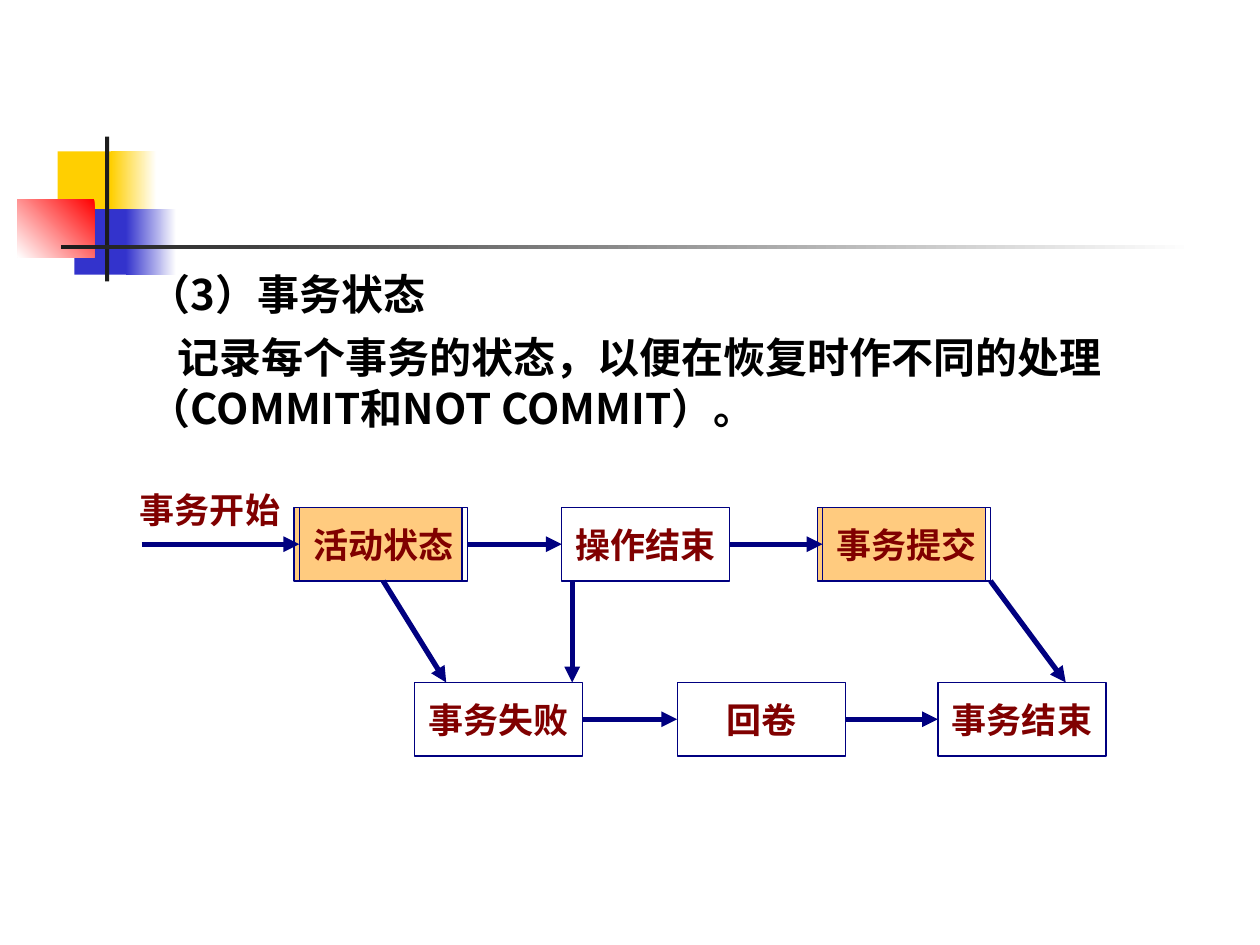
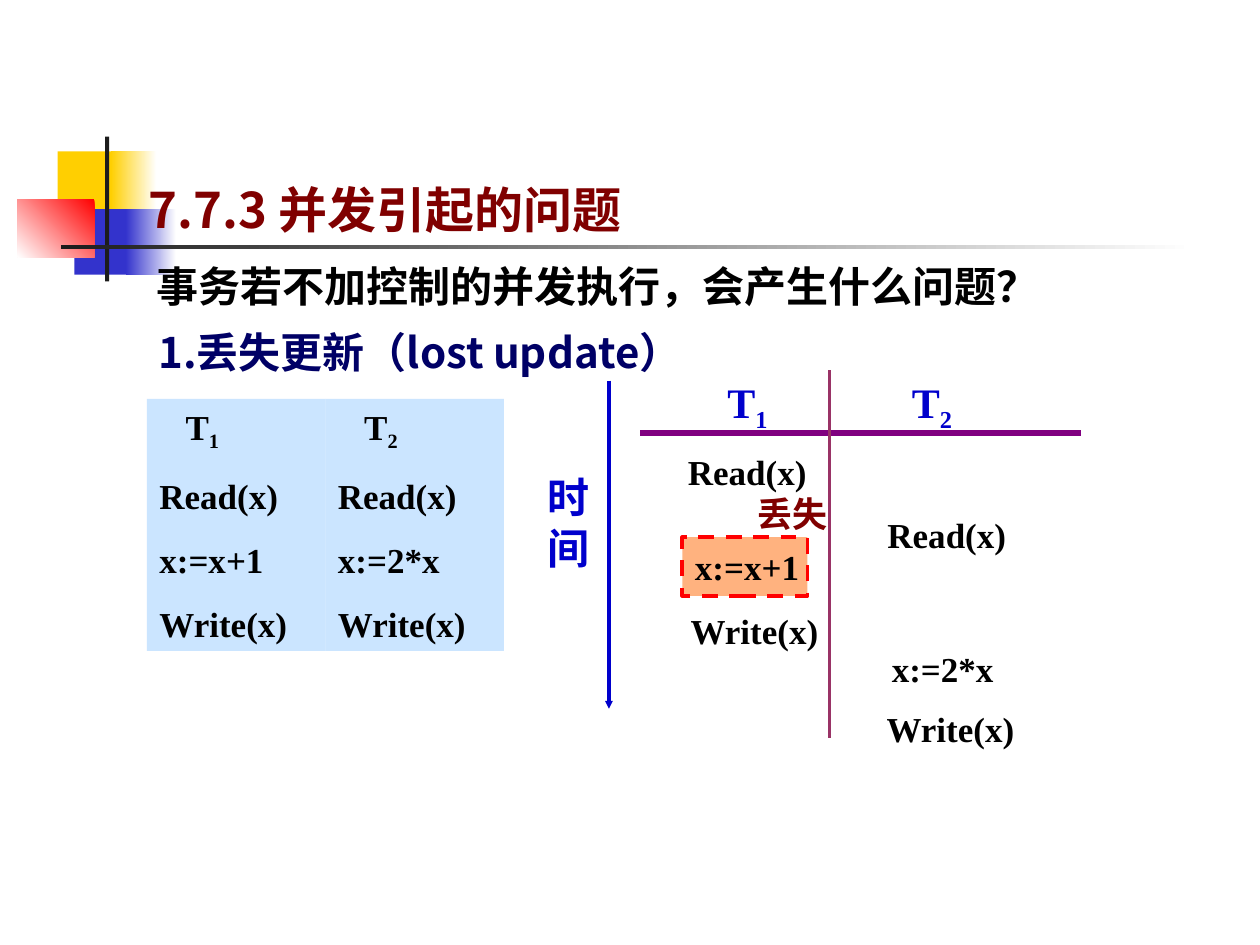
from lxml.etree import SubElement
from pptx import Presentation
from pptx.dml.color import RGBColor
from pptx.enum.dml import MSO_LINE
from pptx.enum.shapes import MSO_CONNECTOR, MSO_SHAPE
from pptx.enum.text import MSO_ANCHOR, PP_ALIGN
from pptx.oxml.ns import qn
from pptx.util import Pt

COLORS = {
    "white": "FFFFFF", "black": "000000", "yellow": "FFCF01", "blue": "3333CC",
    "red": "FF0000", "charcoal": "1C1C1C", "amber": "FF9900", "navy": "000080",
    "maroon": "800000", "heading": "000066", "sky": "99CCFF", "orange": "FF6600",
    "time": "0000CC", "purple": "800080", "plum": "993366",
}
CJK = "Noto Sans CJK SC"
SERIF = "Times New Roman"
STATE_WIDTH, STATE_HEIGHT = 96, 42
TOP_ROW, BOTTOM_ROW = 290, 390
STEP_WIDTH, STEP_HEIGHT = 96, 32


def rgb(name):
    return RGBColor.from_string(COLORS[name])


def add_rectangle(slide, left, top, width, height, fill=None, alpha=None,
                  line=None, line_width=0.75, dash=None):
    shape = slide.shapes.add_shape(
        MSO_SHAPE.RECTANGLE, Pt(left), Pt(top), Pt(width), Pt(height))
    shape.shadow.inherit = False
    if fill:
        shape.fill.solid()
        shape.fill.fore_color.rgb = rgb(fill)
        if alpha:
            color = shape._element.spPr.find(qn("a:solidFill"))[0]
            SubElement(color, qn("a:alpha")).set("val", str(alpha * 1000))
    else:
        shape.fill.background()
    if line:
        shape.line.color.rgb = rgb(line)
        shape.line.width = Pt(line_width)
        if dash:
            shape.line.dash_style = dash
    else:
        shape.line.fill.background()
    return shape


def add_fade(slide, left, top, width, height, start, end="white", angle=0):
    shape = add_rectangle(slide, left, top, width, height, start)
    shape.fill.gradient()
    shape.fill.gradient_angle = angle
    for stop, name in zip(shape.fill.gradient_stops, (start, end)):
        stop.color.rgb = rgb(name)


def write_text(shape, text, size, color, font=SERIF, align=PP_ALIGN.LEFT,
               anchor=MSO_ANCHOR.TOP, wrap=True, indent=0, space_before=0):
    frame = shape.text_frame
    frame.word_wrap = wrap
    frame.vertical_anchor = anchor
    frame.text = text
    for index, paragraph in enumerate(frame.paragraphs):
        base, _, subscript = paragraph.text.partition("_")
        paragraph.text = base
        paragraph.alignment = align
        if index:
            paragraph.space_before = Pt(space_before)
        elif indent:
            paragraph._p.get_or_add_pPr().set("indent", str(Pt(indent)))
        if subscript:
            run = paragraph.add_run()
            run.text = subscript
            run._r.get_or_add_rPr().set("baseline", "-25000")
        for run in paragraph.runs:
            run.font.size = Pt(size)
            run.font.bold = True
            run.font.name = font
            run.font.color.rgb = rgb(color)
            SubElement(run._r.get_or_add_rPr(), qn("a:ea")).set("typeface", CJK)


def add_text(slide, left, top, width, height, text, size=20, color="black", **style):
    box = slide.shapes.add_textbox(Pt(left), Pt(top), Pt(width), Pt(height))
    write_text(box, text, size, color, **style)


def add_line(slide, start, end, color="navy", width=3, head="med"):
    connector = slide.shapes.add_connector(
        MSO_CONNECTOR.STRAIGHT, *(Pt(value) for value in (*start, *end)))
    connector.line.color.rgb = rgb(color)
    connector.line.width = Pt(width)
    properties = connector._element.spPr
    if head:
        tail_end = SubElement(properties.find(qn("a:ln")), qn("a:tailEnd"))
        for name, value in (("type", "triangle"), ("w", head), ("len", head)):
            tail_end.set(name, value)
    SubElement(properties, qn("a:effectLst"))
    return connector


def add_state(slide, left, top, text):
    state = add_rectangle(slide, left, top, STATE_WIDTH, STATE_HEIGHT, line="navy")
    write_text(state, text, 20, "maroon", align=PP_ALIGN.CENTER,
               anchor=MSO_ANCHOR.MIDDLE, wrap=False)
    return state


def join_states(slide, source, target):
    connector = add_line(slide, (0, 0), (0, 0))
    connector.begin_connect(source, 3)
    connector.end_connect(target, 1)


def add_slide(presentation):
    slide = presentation.slides.add_slide(presentation.slide_layouts[6])
    add_rectangle(slide, 33, 86.5, 34.5, 37.5, "yellow")
    add_fade(slide, 63.4, 86.5, 26, 37.5, "yellow")
    add_rectangle(slide, 42.5, 119.5, 33, 37.5, "blue")
    add_fade(slide, 72, 119.5, 28.8, 37.5, "blue")
    add_fade(slide, 10, 113.8, 44, 33.2, "red", angle=225)
    add_rectangle(slide, 60, 78, 2.4, 82.8, "charcoal")
    add_fade(slide, 34.6, 140, 648, 2.5, "charcoal")
    return slide


def build_states_slide(presentation):
    slide = add_slide(presentation)
    for left in (168, 467):
        add_rectangle(slide, left, TOP_ROW, STATE_WIDTH, STATE_HEIGHT, "amber", 50, "navy")
    add_text(slide, 78, 150, 570, 94, "（3）事务状态", 24, font=CJK)
    add_text(slide, 78, 186, 588, 65,
             "记录每个事务的状态，以便在恢复时作不同的处理（COMMIT和NOT COMMIT）。",
             24, font=CJK, indent=16.5)
    add_text(slide, 72, 270, STATE_WIDTH, STATE_HEIGHT, "事务开始", 20, "maroon",
             align=PP_ALIGN.CENTER, anchor=MSO_ANCHOR.MIDDLE, wrap=False)

    active = add_state(slide, 171, TOP_ROW, "活动状态")
    finished = add_state(slide, 321, TOP_ROW, "操作结束")
    committed = add_state(slide, 470, TOP_ROW, "事务提交")
    failed = add_state(slide, 237, BOTTOM_ROW, "事务失败")
    rollback = add_state(slide, 387, BOTTOM_ROW, "回卷")
    ended = add_state(slide, 536, BOTTOM_ROW, "事务结束")
    for source, target in ((active, finished), (finished, committed),
                           (failed, rollback), (rollback, ended)):
        join_states(slide, source, target)

    state_bottom = TOP_ROW + STATE_HEIGHT
    add_line(slide, (81, 311), (171, 311)).end_connect(active, 1)
    add_line(slide, (221, state_bottom), (255, BOTTOM_ROW)).begin_connect(active, 2)
    add_line(slide, (327, state_bottom), (327, BOTTOM_ROW))
    add_line(slide, (566, state_bottom), (609, BOTTOM_ROW))


def build_lost_update_slide(presentation):
    slide = add_slide(presentation)
    add_rectangle(slide, 390, 307, 71.5, 33.5, "orange", 50, "red", 2.25, MSO_LINE.DASH)
    add_text(slide, 426, 278, 64, STEP_HEIGHT, "丢失", color="maroon")
    add_text(slide, 78, 99, 414, 81, "7.7.3 并发引起的问题", 28, "maroon", font=CJK)
    add_text(slide, 66, 145.5, 600, 36, "事务若不加控制的并发执行，会产生什么问题？",
             24, font=CJK, indent=16.5)
    add_text(slide, 67, 183, 437, 36, "1.丢失更新（lost update）", 24, "heading",
             font=CJK, indent=16.5)

    for column, (name, update) in enumerate((("T_1", "x:=x+1"), ("T_2", "x:=2*x"))):
        panel = add_rectangle(slide, 84 + 102 * column, 228, 102, 144, "sky", 50)
        write_text(panel, "\n".join((name, "Read(x)", update, "Write(x)")), 20, "black",
                   indent=15, space_before=12.5)
        add_text(slide, 408.5 + 105.5 * column, 211.5, 48, 40, name, 24, "time")

    add_line(slide, (348, 217.5), (348, 405), "time", 2.25, head="sm")
    add_text(slide, 306, 266, 30, 65, "时间", 24, "time", font="Cabin")
    add_line(slide, (366, 247.5), (618, 247.5), "purple", 3, head=None)
    add_line(slide, (474, 211.5), (474, 422), "plum", 2.25, head=None)
    for left, top, step in (
            (386, 254, "Read(x)"), (500, 290, "Read(x)"), (390, 308, "x:=x+1"),
            (387.5, 345, "Write(x)"), (502.5, 366.5, "x:=2*x"), (499.5, 401, "Write(x)")):
        add_text(slide, left, top, STEP_WIDTH, STEP_HEIGHT, step)


def main():
    presentation = Presentation()
    presentation.slide_width, presentation.slide_height = Pt(720), Pt(540)
    build_states_slide(presentation)
    build_lost_update_slide(presentation)
    presentation.save("out.pptx")


if __name__ == "__main__":
    main()
